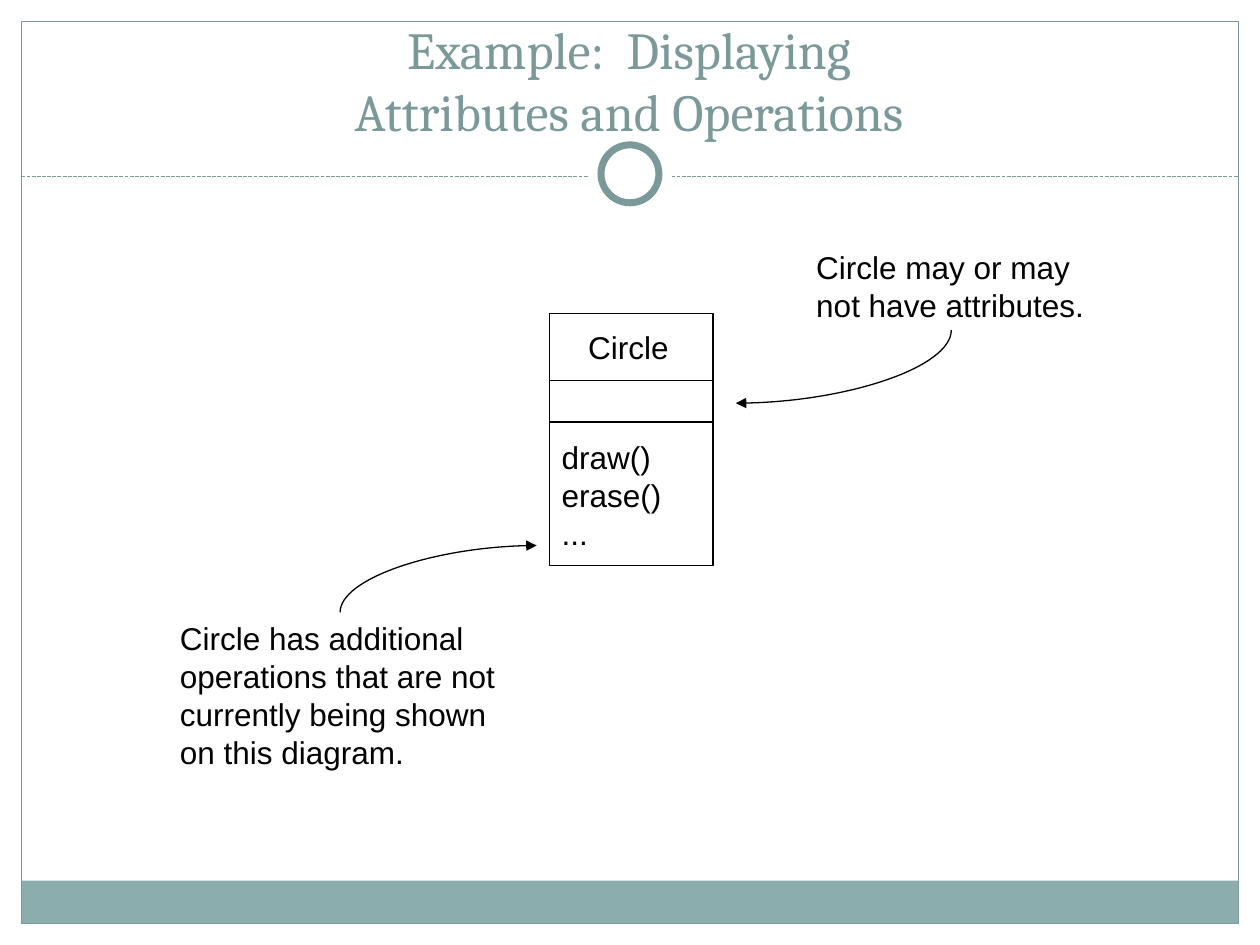
"""Build a slide explaining attributes and operations on a class diagram."""
from lxml import etree
from pptx import Presentation
from pptx import util as u
from pptx.dml.color import RGBColor
from pptx.enum import dml, shapes, text
from pptx.oxml.ns import qn

THEME = {
    "accent": "7C999A", "band": "8CADAE", "paper": "FFFFFF", "ink": "000000",
    "title_font": "Cambria", "body_font": "Arial",
    "title_size": 29.7, "body_size": 18, "thin": 0.75, "ring": 4,
}
WIDTH, HEIGHT, MARGIN = 10, 7.5, 0.17
RULE_Y, BAND_HEIGHT = 1.4, 0.34

TITLE = ["Example:  Displaying\vAttributes and Operations"]
CLASS_NAME, OPERATIONS = "Circle", ["draw()", "erase()", "..."]
CLASS_BOX = (4.36, 2.49, 1.3, 2)
DIVIDERS = (3.02, 3.35)
NOTES = [
    {"lines": ["Circle may or may", "not have attributes."],
     "box": (6.38, 1.92, 2.33, 0.7), "tip": (5.84, 3.2), "origin": (7.55, 2.62)},
    {"lines": ["Circle has additional", "operations that are not",
               "currently being shown", "on this diagram."],
     "box": (1.33, 4.86, 2.73, 1.31), "tip": (4.26, 4.33), "origin": (2.7, 4.86)},
]


def color(name):
    return RGBColor.from_string(THEME[name])


def set_line(line, name, width="thin"):
    line.color.rgb = color(name)
    line.width = u.Pt(THEME[width])


def add_shape(parent, kind, box, fill=None, line=None, width="thin"):
    shape = parent.add_shape(kind, *map(u.Inches, box))
    shape.shadow.inherit = False
    if fill:
        shape.fill.solid()
        shape.fill.fore_color.rgb = color(fill)
    else:
        shape.fill.background()
    if line:
        set_line(shape.line, line, width)
    else:
        shape.line.fill.background()
    return shape


def add_line(parent, start, end, name, kind=shapes.MSO_CONNECTOR.STRAIGHT):
    connector = parent.add_connector(kind, *map(u.Inches, (*start, *end)))
    set_line(connector.line, name)
    etree.SubElement(connector._element.spPr, qn("a:effectLst"))
    return connector


def add_curved_arrow(parent, tip, origin):
    connector = add_line(parent, tip, origin, "ink", shapes.MSO_CONNECTOR.CURVE)
    properties = connector._element.spPr
    properties.find(qn("a:prstGeom")).set("prst", "curvedConnector2")
    etree.SubElement(properties.find(qn("a:ln")), qn("a:headEnd"), type="triangle")


def write(shape, lines, role="body", ink="ink", align=text.PP_ALIGN.LEFT,
          anchor=text.MSO_ANCHOR.MIDDLE, inset=0.05):
    frame = shape.text_frame
    frame.word_wrap = True
    frame.vertical_anchor = anchor
    frame.margin_left = frame.margin_right = u.Inches(0.1)
    frame.margin_top = frame.margin_bottom = u.Inches(inset)
    for index, line in enumerate(lines):
        paragraph = frame.add_paragraph() if index else frame.paragraphs[0]
        paragraph.alignment = align
        for part_index, part in enumerate(line.split("\v")):
            if part_index:
                paragraph.add_line_break()
            run = paragraph.add_run()
            run.text = part
            run.font.name = THEME[role + "_font"]
            run.font.size = u.Pt(THEME[role + "_size"])
            run.font.color.rgb = color(ink)
    return frame.paragraphs


def add_circle(parent, diameter, **style):
    box = ((WIDTH - diameter) / 2, RULE_Y - 0.02 - diameter / 2, diameter, diameter)
    add_shape(parent, shapes.MSO_SHAPE.OVAL, box, **style)


def add_frame(parent):
    rectangle = shapes.MSO_SHAPE.RECTANGLE
    inner = WIDTH - 2 * MARGIN
    bottom = HEIGHT - MARGIN
    add_shape(parent, rectangle, (MARGIN, bottom - BAND_HEIGHT, inner, BAND_HEIGHT), "band")
    add_shape(parent, rectangle, (MARGIN, MARGIN, inner, HEIGHT - 2 * MARGIN), line="accent")
    rule = add_line(parent, (MARGIN, RULE_Y), (WIDTH - MARGIN, RULE_Y), "accent")
    rule.line.dash_style = dml.MSO_LINE.SQUARE_DOT
    rule._element.spPr.find(qn("a:ln")).find(qn("a:prstDash")).set("val", "sysDash")
    add_circle(parent, 0.67, fill="paper")
    add_circle(parent, 0.46, fill="paper", line="accent", width="ring")


def add_class(parent):
    group = parent.add_group_shape().shapes
    box = add_shape(group, shapes.MSO_SHAPE.RECTANGLE, CLASS_BOX, line="ink")
    paragraphs = write(box, [CLASS_NAME, *OPERATIONS])
    paragraphs[0]._p.get_or_add_pPr().set("indent", str(u.Inches(0.21)))
    paragraphs[1].space_before = u.Pt(2.3 * THEME["body_size"])
    left, _, width, _ = CLASS_BOX
    for y in DIVIDERS:
        add_line(group, (left, y), (left + width, y), "ink")


presentation = Presentation()
presentation.slide_width, presentation.slide_height = u.Inches(WIDTH), u.Inches(HEIGHT)
slide = presentation.slides.add_slide(presentation.slide_layouts[6])
canvas = slide.shapes
add_frame(canvas)
title = canvas.add_textbox(*map(u.Inches, (0.33, 0.33, 9.33, 0.83)))
write(title, TITLE, "title", "accent", text.PP_ALIGN.CENTER, text.MSO_ANCHOR.BOTTOM, 0.03)
add_class(canvas)
for note in NOTES:
    write(canvas.add_textbox(*map(u.Inches, note["box"])), note["lines"])
    add_curved_arrow(canvas, note["tip"], note["origin"])
presentation.save("out.pptx")
